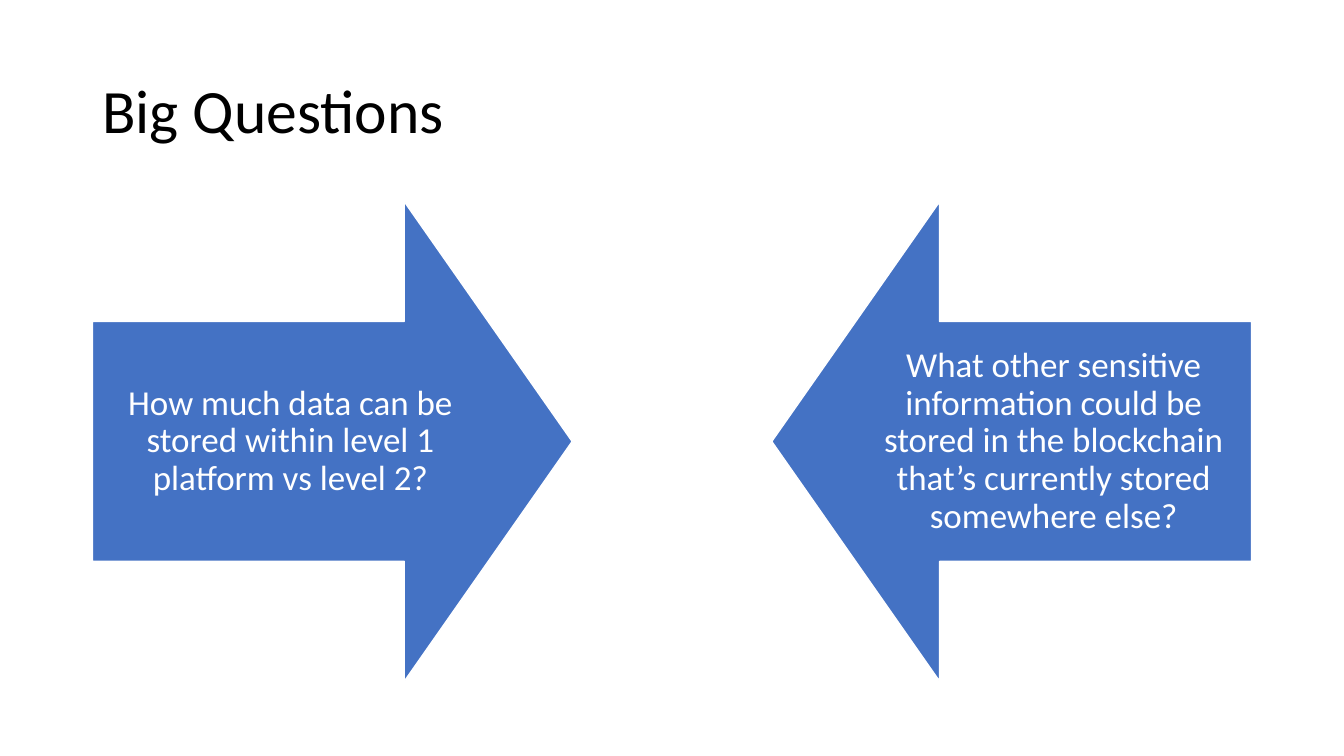
from pptx import Presentation
from pptx.dml.color import RGBColor
from pptx.enum.shapes import MSO_SHAPE as Shape
from pptx.enum.text import MSO_ANCHOR as Anchor, PP_ALIGN as Align
from pptx.util import Cm, Pt

COLORS = {"black": "000000", "white": "FFFFFF", "blue": "4472C4"}
MARGIN, CONTENT_WIDTH = 2.33, 29.21
ARROW_TOP, ARROW_SIZE = 5.08, 12.09


def color(name):
    return RGBColor.from_string(COLORS[name])


def write(frame, text, size, ink, align=Align.LEFT, inset=None):
    """Fill a text frame with one vertically centred paragraph."""
    frame.word_wrap = True
    frame.vertical_anchor = Anchor.MIDDLE
    if inset is not None:
        frame.margin_left = frame.margin_right = Cm(inset)
        frame.margin_top = frame.margin_bottom = Cm(inset)
    para = frame.paragraphs[0]
    para.alignment = align
    para.line_spacing = 0.9
    span = para.add_run()
    span.text = text
    span.font.name = "Calibri"
    span.font.size = Pt(size)
    span.font.color.rgb = color(ink)


class Page:
    def __init__(self, deck):
        self.shapes = deck.slides.add_slide(deck.slide_layouts[6]).shapes

    def title(self, text):
        box = self.shapes.add_textbox(Cm(MARGIN), Cm(1.01), Cm(CONTENT_WIDTH), Cm(3.68))
        write(box.text_frame, text, size=44, ink="black")

    def arrow(self, kind, left, text):
        arrow = self.shapes.add_shape(
            kind, Cm(left), Cm(ARROW_TOP), Cm(ARROW_SIZE), Cm(ARROW_SIZE))
        arrow.adjustments[0] = 0.5
        arrow.adjustments[1] = 0.35
        arrow.shadow.inherit = False
        arrow.fill.solid()
        arrow.fill.fore_color.rgb = color("blue")
        arrow.line.color.rgb = color("white")
        arrow.line.width = Pt(1)
        write(arrow.text_frame, text, size=25, ink="white", align=Align.CENTER, inset=0.48)


def main():
    deck = Presentation()
    deck.slide_width, deck.slide_height = Cm(33.87), Cm(19.05)
    page = Page(deck)
    page.title("Big Questions")
    page.arrow(Shape.RIGHT_ARROW, MARGIN,
               "How much data can be stored within level 1 platform vs level 2?")
    page.arrow(Shape.LEFT_ARROW, MARGIN + CONTENT_WIDTH - ARROW_SIZE,
               "What other sensitive information could be stored in the blockchain "
               "that’s currently stored somewhere else?")
    deck.save("out.pptx")


if __name__ == "__main__":
    main()
